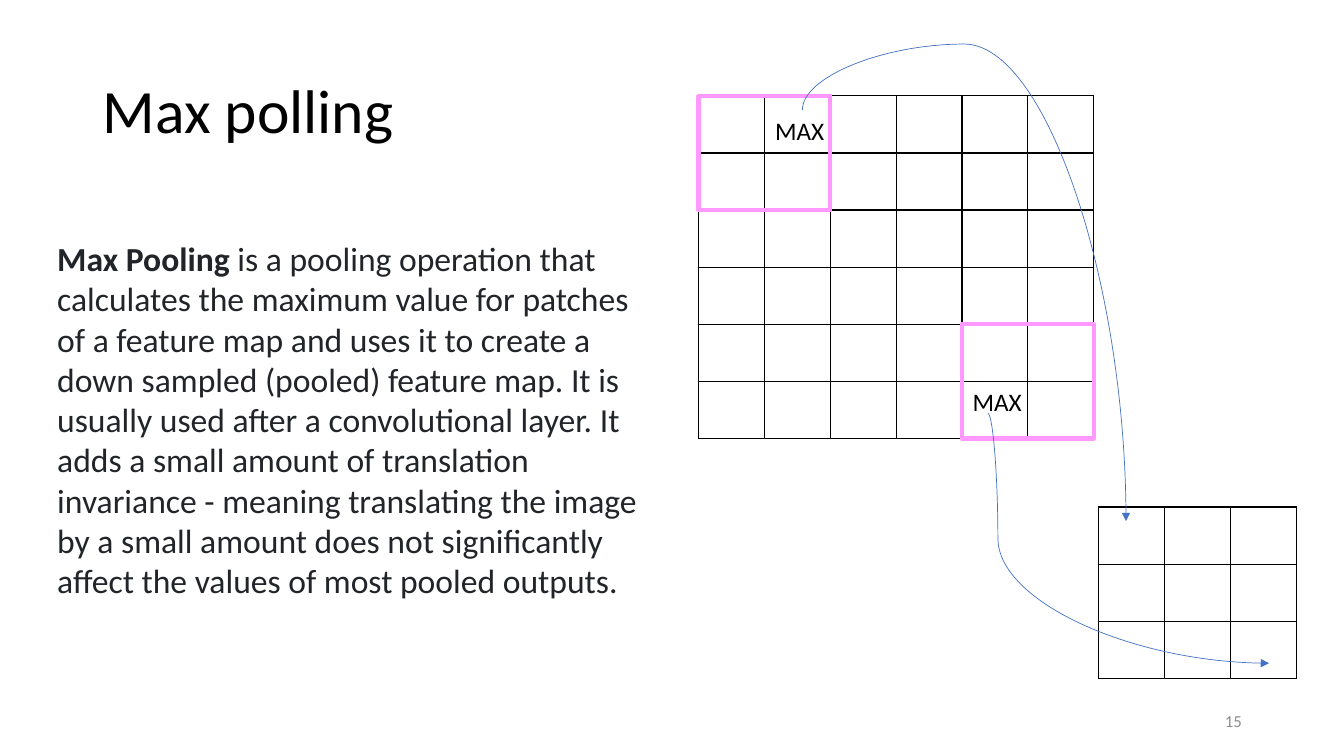
from dataclasses import dataclass

from lxml import etree
from pptx import Presentation
from pptx import util as u
from pptx.dml.color import RGBColor
from pptx.enum import shapes, text
from pptx.oxml import ns

SLIDE_WIDTH = u.Inches(13.333)
SLIDE_HEIGHT = u.Inches(7.5)
FONT = "Calibri"
BLACK, GREY, INK = "000000", "8C8C8C", "212529"
PINK, BLUE = "FF99FF", "4472C4"

# All positions and sizes are percentages of the slide's width or height.
CELL_WIDTH = 4.9
CELL_HEIGHT = 7.56
PATCH = 2


@dataclass
class Label:
    runs: list[tuple[str, bool]]
    left: float
    top: float
    width: float
    height: float
    size: int
    colour: str = BLACK
    anchor: text.MSO_ANCHOR = text.MSO_ANCHOR.TOP
    align: text.PP_ALIGN = text.PP_ALIGN.LEFT
    wrap: bool = True
    line_spacing: float = 1.0


@dataclass
class Grid:
    left: float
    top: float
    cells: int


@dataclass
class Curve:
    begin: tuple[float, float]
    end: tuple[float, float]
    bend: int
    leaves_upward: bool


FEATURE_MAP = Grid(51.98, 12.67, 6)
POOLED_MAP = Grid(81.75, 67.07, 3)
PATCH_STARTS = (0, FEATURE_MAP.cells - PATCH)

DESCRIPTION = (
    " is a pooling operation that calculates the maximum value for patches of a "
    "feature map and uses it to create a down sampled (pooled) feature map. It is "
    "usually used after a convolutional layer. It adds a small amount of translation "
    "invariance - meaning translating the image by a small amount does not "
    "significantly affect the values of most pooled outputs."
)

LABELS = [
    Label([("Max polling", False)], 6.9, 5.33, 86.25, 19.33, 44,
          anchor=text.MSO_ANCHOR.MIDDLE, line_spacing=0.9),
    Label([("15", False)], 70.65, 92.67, 22.5, 5.33, 12, GREY,
          text.MSO_ANCHOR.MIDDLE, text.PP_ALIGN.RIGHT),
    Label([("Max Pooling", True), (DESCRIPTION, False)], 3.52, 30.8, 45.08, 49.87, 24, INK),
]
MAX_LABELS = [
    Label([("MAX", False)], left, top, 5.63, 5.33, 18, wrap=False)
    for left, top in ((56.93, 14.53), (71.63, 50.4))
]
CURVES = [
    Curve((59.7, 14.53), (83.78, 68.93), -16000, True),
    Curve((73.5, 54.67), (94.43, 87.73), 3600, False),
]


def across(share: float) -> int:
    return round(SLIDE_WIDTH * share / 100)


def down(share: float) -> int:
    return round(SLIDE_HEIGHT * share / 100)


def colour(value: str) -> RGBColor:
    return RGBColor.from_string(value)


def add_label(slide, label: Label) -> None:
    box = slide.shapes.add_textbox(
        across(label.left), down(label.top), across(label.width), down(label.height))
    frame = box.text_frame
    frame.word_wrap = label.wrap
    frame.vertical_anchor = label.anchor
    paragraph = frame.paragraphs[0]
    paragraph.alignment = label.align
    paragraph.line_spacing = label.line_spacing
    for words, bold in label.runs:
        run = paragraph.add_run()
        run.text = words
        run.font.name = FONT
        run.font.size = u.Pt(label.size)
        run.font.bold = bold
        run.font.color.rgb = colour(label.colour)


def style_cell(cell) -> None:
    """Give a cell black borders and no fill."""
    properties = cell._tc.get_or_add_tcPr()
    for side in ("a:lnL", "a:lnR", "a:lnT", "a:lnB"):
        border = etree.SubElement(properties, ns.qn(side), w=str(u.Pt(1)))
        fill = etree.SubElement(border, ns.qn("a:solidFill"))
        etree.SubElement(fill, ns.qn("a:srgbClr"), val=BLACK)
    cell.fill.background()


def add_grid(slide, grid: Grid) -> None:
    table = slide.shapes.add_table(
        grid.cells, grid.cells, across(grid.left), down(grid.top),
        across(grid.cells * CELL_WIDTH), down(grid.cells * CELL_HEIGHT)).table
    table.first_row = False
    table.horz_banding = False
    for column in table.columns:
        column.width = across(CELL_WIDTH)
    for row in table.rows:
        row.height = down(CELL_HEIGHT)
    for cell in table.iter_cells():
        style_cell(cell)


def add_patch(slide, start: int) -> None:
    """Outline a patch whose first column and row are both `start`."""
    shape = slide.shapes.add_shape(
        shapes.MSO_SHAPE.RECTANGLE,
        across(FEATURE_MAP.left + start * CELL_WIDTH),
        down(FEATURE_MAP.top + start * CELL_HEIGHT),
        across(PATCH * CELL_WIDTH), down(PATCH * CELL_HEIGHT))
    shape.shadow.inherit = False
    shape.fill.background()
    shape.line.color.rgb = colour(PINK)
    shape.line.width = u.Pt(3)


def add_curve(slide, curve: Curve) -> None:
    """Draw a curved arrow; one that leaves upward is a mirrored quarter turn."""
    left, top = across(curve.begin[0]), down(curve.begin[1])
    right, bottom = across(curve.end[0]), down(curve.end[1])
    ends = (left, top, right, bottom)
    if curve.leaves_upward:
        middle_x, middle_y = (left + right) // 2, (top + bottom) // 2
        half_width, half_height = (bottom - top) // 2, (right - left) // 2
        ends = (middle_x + half_width, middle_y - half_height,
                middle_x - half_width, middle_y + half_height)
    connector = slide.shapes.add_connector(shapes.MSO_CONNECTOR.CURVE, *ends)
    connector.line.color.rgb = colour(BLUE)
    connector.line.width = u.Pt(0.5)
    properties = connector._element.spPr
    if curve.leaves_upward:
        properties.find(ns.qn("a:xfrm")).set("rot", str(270 * 60000))
    adjustments = properties.find(ns.qn("a:prstGeom")).find(ns.qn("a:avLst"))
    etree.SubElement(adjustments, ns.qn("a:gd"), name="adj1", fmla=f"val {curve.bend}")
    line = properties.find(ns.qn("a:ln"))
    etree.SubElement(line, ns.qn("a:tailEnd"), type="triangle")
    etree.SubElement(properties, ns.qn("a:effectLst"))


def main() -> None:
    presentation = Presentation()
    presentation.slide_width = SLIDE_WIDTH
    presentation.slide_height = SLIDE_HEIGHT
    slide = presentation.slides.add_slide(presentation.slide_layouts[6])
    for label in LABELS:
        add_label(slide, label)
    add_grid(slide, FEATURE_MAP)
    for start, label in zip(PATCH_STARTS, MAX_LABELS):
        add_patch(slide, start)
        add_label(slide, label)
    add_grid(slide, POOLED_MAP)
    for curve in CURVES:
        add_curve(slide, curve)
    presentation.save("out.pptx")


if __name__ == "__main__":
    main()
